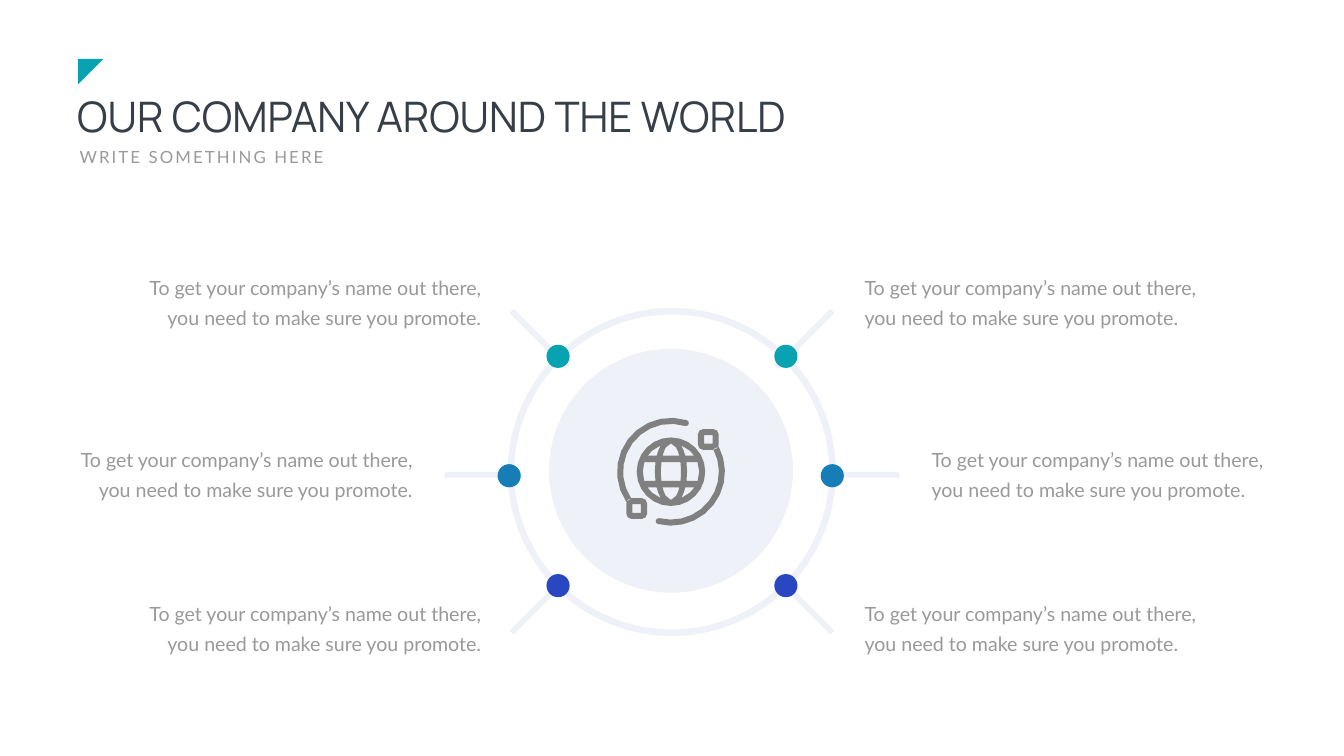
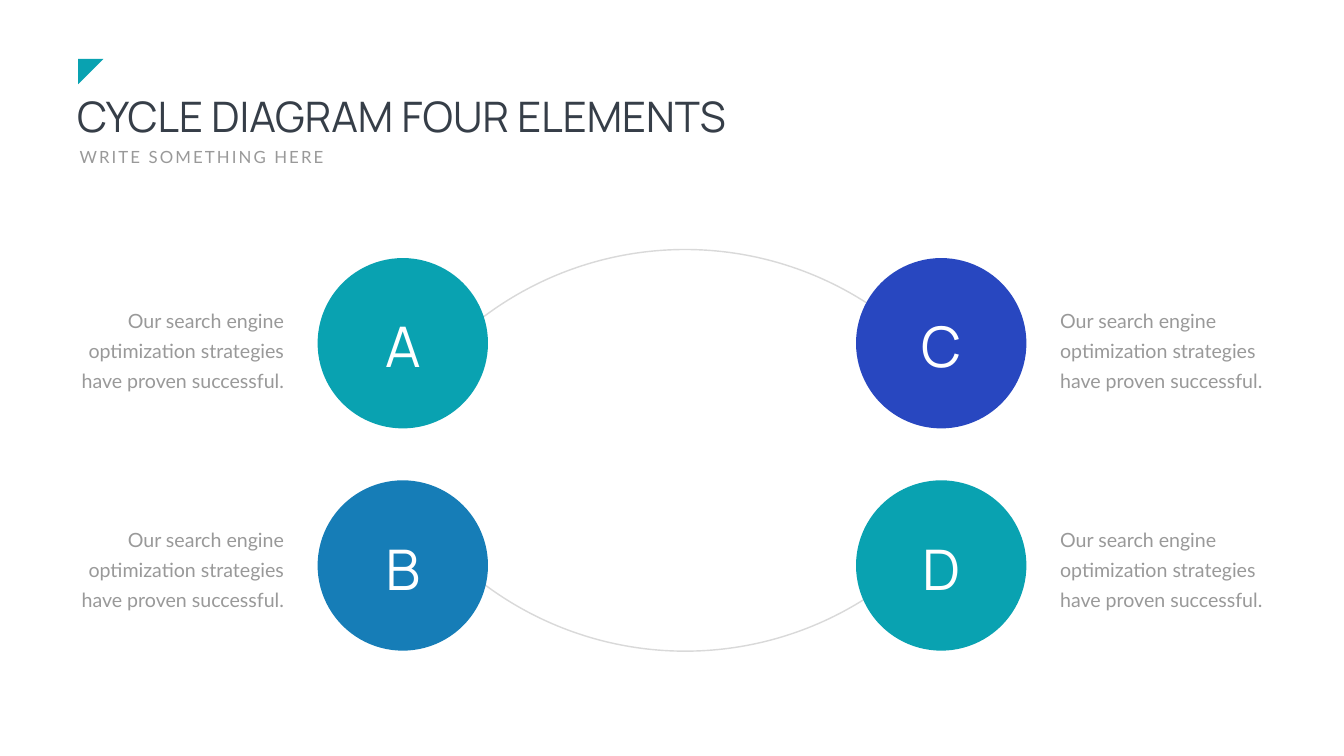
from dataclasses import dataclass
from itertools import product
from math import cos, radians, sin, sqrt

from pptx import Presentation
from pptx.dml.color import RGBColor
from pptx.enum.shapes import MSO_SHAPE
from pptx.enum.text import MSO_ANCHOR, MSO_AUTO_SIZE, PP_ALIGN
from pptx.shapes.autoshape import Shape
from pptx.slide import Slide
from pptx.text.text import TextFrame
from pptx.util import Inches, Pt

LEFT, CENTER, RIGHT = PP_ALIGN.LEFT, PP_ALIGN.CENTER, PP_ALIGN.RIGHT
TOP, MIDDLE = MSO_ANCHOR.TOP, MSO_ANCHOR.MIDDLE
GROW, FIXED = MSO_AUTO_SIZE.SHAPE_TO_FIT_TEXT, MSO_AUTO_SIZE.NONE
OVAL, DONUT, ARC = MSO_SHAPE.OVAL, MSO_SHAPE.DONUT, MSO_SHAPE.ARC
TRIANGLE = MSO_SHAPE.RIGHT_TRIANGLE

SLIDE_WIDTH, SLIDE_HEIGHT = 26.66, 15
TITLE_ONLY = 5
COLORS = {
    "teal": "09A2B1",
    "blue": "167DB7",
    "indigo": "2847C0",
    "pale": "EFF1F8",
    "icon": "808080",
    "arc": "D9D9D9",
    "title": "363E48",
    "body": "999999",
    "white": "FFFFFF",
}

Point = tuple[float, float]
Contour = list[Point]


@dataclass(frozen=True)
class Style:
    font: str
    size: float
    color: str
    spacing: float = 0
    leading: float = 0


@dataclass(frozen=True)
class Dot:
    left: float
    top: float
    color: str


@dataclass(frozen=True)
class Note:
    left: float
    top: float
    align: PP_ALIGN


@dataclass(frozen=True)
class Orbit:
    start: float
    end: float
    node: Point


@dataclass(frozen=True)
class Stage:
    letter: str
    left: float
    top: float
    color: str
    note: Note


TITLE = Style("Manrope", 60, "title")
SUBTITLE = Style("Lato", 24, "body", spacing=3)
BODY = Style("Lato", 28, "body", leading=43)
LETTER = Style("Manrope", 80, "white", spacing=6)

PROMOTE = "To get your company’s name out there, you need to make sure you promote."
SEARCH = "Our search engine optimization strategies have proven successful."

DOTS = [
    Dot(10.84, 6.84, "teal"),
    Dot(15.36, 6.84, "teal"),
    Dot(16.28, 9.21, "blue"),
    Dot(9.87, 9.21, "blue"),
    Dot(10.84, 11.39, "indigo"),
    Dot(15.36, 11.39, "indigo"),
]
WORLD_NOTES = [
    Note(17.05, 5.3, LEFT),
    Note(2.62, 5.3, RIGHT),
    Note(2.62, 11.77, RIGHT),
    Note(1.26, 8.71, RIGHT),
    Note(18.38, 8.71, LEFT),
    Note(17.05, 11.77, LEFT),
]
STAGES = [
    Stage("A", 6.3, 5.12, "teal", Note(1.48, 5.94, RIGHT)),
    Stage("B", 6.3, 9.53, "blue", Note(1.48, 10.29, RIGHT)),
    Stage("C", 16.98, 5.12, "indigo", Note(20.93, 5.94, LEFT)),
    Stage("D", 16.98, 9.53, "teal", Note(20.93, 10.29, LEFT)),
]

SPOKE_AXIS = 9.36
DIAGONAL_SPOKE = [(16.47, 6.13), (16.55, 6.21), (15.44, 7.32), (15.36, 7.24)]
LEVEL_SPOKE = [(16.3, 9.37), (17.84, 9.37), (17.84, 9.48), (16.3, 9.48)]

ICON_X, ICON_Y = 13.31, 9.36
GLOBE_RADIUS = 0.68
RIM = (0.56, 0.56)
MERIDIAN_OUTER = (0.32, 0.68)
MERIDIAN_INNER = (0.2, 0.56)
ROWS = [(-0.56, -0.32), (-0.19, 0.18), (0.31, 0.56)]
RIM_MEETS_MERIDIAN = 0.52
ORBIT_OUTER, ORBIT_INNER = 1.07, 0.95
NODE_SIZE, NODE_HOLE, NODE_CORNER = 0.41, 0.17, 0.1
ORBITS = [
    Orbit(-28, 104, (14.05, 8.72)),
    Orbit(146, 287, (12.63, 10.09)),
]


def color(name: str) -> RGBColor:
    return RGBColor.from_string(COLORS[name])


def write(frame: TextFrame, text: str, style: Style, align: PP_ALIGN = LEFT) -> None:
    para = frame.paragraphs[0]
    para.alignment = align
    if style.leading:
        para.line_spacing = Pt(style.leading)
    span = para.add_run()
    span.text = text
    span.font.name = style.font
    span.font.size = Pt(style.size)
    span.font.color.rgb = color(style.color)
    if style.spacing:
        span._r.get_or_add_rPr().set("spc", str(round(style.spacing * 100)))


def center_vertically(frame: TextFrame) -> None:
    frame.auto_size = FIXED
    frame.vertical_anchor = MIDDLE
    frame.margin_top, frame.margin_bottom = 0, Inches(0.02)


def add_text(page: Slide, left: float, top: float, width: float, height: float,
             text: str, style: Style, align: PP_ALIGN = LEFT, wrap: bool = True) -> TextFrame:
    box = page.shapes.add_textbox(Inches(left), Inches(top), Inches(width), Inches(height))
    frame = box.text_frame
    frame.word_wrap = wrap
    frame.auto_size = GROW
    frame.vertical_anchor = TOP
    write(frame, text, style, align)
    return frame


def paint(shape: Shape, fill: str) -> None:
    shape.shadow.inherit = False
    shape.fill.solid()
    shape.fill.fore_color.rgb = color(fill)
    shape.line.fill.background()


def add_figure(page: Slide, kind: MSO_SHAPE, left: float, top: float,
               size: float, fill: str) -> Shape:
    figure = page.shapes.add_shape(kind, Inches(left), Inches(top), Inches(size), Inches(size))
    paint(figure, fill)
    return figure


def add_outline(page: Slide, contours: list[Contour], fill: str) -> None:
    scaled = [[(Inches(x), Inches(y)) for x, y in contour] for contour in contours]
    first, *others = scaled
    builder = page.shapes.build_freeform(*first[0])
    builder.add_line_segments(first[1:], close=True)
    for contour in others:
        builder.move_to(*contour[0])
        builder.add_line_segments(contour[1:], close=True)
    paint(builder.convert_to_shape(), fill)


def steps(start: float, end: float, count: int) -> list[float]:
    return [start + (end - start) * index / count for index in range(count + 1)]


def arc_points(x: float, y: float, radius: float, start: float, end: float,
               count: int) -> Contour:
    angles = [radians(angle) for angle in steps(start, end, count)]
    return [(x + radius * cos(angle), y + radius * sin(angle)) for angle in angles]


def globe_edge(side: int, curve: Point, rows: list[float]) -> Contour:
    width, height = curve
    return [(ICON_X + side * width * sqrt(max(0, 1 - (row / height) ** 2)), ICON_Y + row)
            for row in rows]


def globe_contours() -> list[Contour]:
    contours = [arc_points(ICON_X, ICON_Y, GLOBE_RADIUS, 0, 360, 24)[:-1]]
    for (top, bottom), column in product(ROWS, (-1, 0, 1)):
        if column:
            top, bottom = max(top, -RIM_MEETS_MERIDIAN), min(bottom, RIM_MEETS_MERIDIAN)
        rows = steps(top, bottom, 2 if column else 3)
        if column:
            near = globe_edge(column, MERIDIAN_OUTER, rows)
            far = globe_edge(column, RIM, rows)
        else:
            near = globe_edge(-1, MERIDIAN_INNER, rows)
            far = globe_edge(1, MERIDIAN_INNER, rows)
        contours.append(near + far[::-1])
    return contours


def square(x: float, y: float, size: float, corner: float = 0) -> Contour:
    reach = size / 2 - corner
    points = []
    for start, (across, down) in zip((0, 90, 180, 270), ((1, 1), (-1, 1), (-1, -1), (1, -1))):
        turn = arc_points(x + across * reach, y + down * reach, corner, start, start + 90, 2)
        points += turn if corner else turn[:1]
    return points


def orbit_contours(orbit: Orbit) -> list[Contour]:
    middle = (ORBIT_OUTER + ORBIT_INNER) / 2
    end = radians(orbit.end)
    tip_x, tip_y = ICON_X + middle * cos(end), ICON_Y + middle * sin(end)
    band = arc_points(ICON_X, ICON_Y, ORBIT_OUTER, orbit.start, orbit.end, 10)
    band += arc_points(tip_x, tip_y, (ORBIT_OUTER - ORBIT_INNER) / 2,
                       orbit.end, orbit.end + 180, 4)[1:-1]
    band += arc_points(ICON_X, ICON_Y, ORBIT_INNER, orbit.end, orbit.start, 10)
    return [band, square(*orbit.node, NODE_SIZE, NODE_CORNER), square(*orbit.node, NODE_HOLE)]


def add_page(deck: Presentation, heading: str, width: float) -> Slide:
    page = deck.slides.add_slide(deck.slide_layouts[TITLE_ONLY])
    page.background.fill.solid()
    page.background.fill.fore_color.rgb = color("white")
    title = page.shapes.title
    title.left, title.top = Inches(1.43), Inches(1.76)
    title.width, title.height = Inches(width), Inches(1.11)
    title.text_frame.word_wrap = True
    center_vertically(title.text_frame)
    write(title.text_frame, heading, TITLE)
    add_text(page, 1.48, 2.87, 5.14, 0.5, "WRITE SOMETHING HERE", SUBTITLE, wrap=False)
    add_figure(page, TRIANGLE, 1.55, 1.17, 0.5, "teal").rotation = 90
    return page


def build_world(deck: Presentation) -> None:
    page = add_page(deck, "OUR COMPANY AROUND THE WORLD", 17.29)
    ring = add_figure(page, DONUT, 10.07, 6.11, 6.51, "pale")
    ring.adjustments[0] = 0.02
    lower_spoke = [(x, 2 * SPOKE_AXIS - y) for x, y in DIAGONAL_SPOKE]
    spokes = [DIAGONAL_SPOKE, LEVEL_SPOKE, lower_spoke]
    add_outline(page, spokes, "pale")
    add_outline(page, [[(SLIDE_WIDTH - x, y) for x, y in spoke] for spoke in spokes], "pale")
    for dot in DOTS:
        add_figure(page, OVAL, dot.left, dot.top, 0.46, dot.color)
    for note in WORLD_NOTES:
        add_text(page, note.left, note.top, 7.02, 1.25, PROMOTE, BODY, note.align)
    add_figure(page, OVAL, 10.89, 6.92, 4.84, "pale")
    add_outline(page, globe_contours(), "icon")
    for orbit in ORBITS:
        add_outline(page, orbit_contours(orbit), "icon")


def build_cycle(deck: Presentation) -> None:
    page = add_page(deck, "CYCLE DIAGRAM FOUR ELEMENTS", 15.23)
    for top, rotation in ((-0.38, 135), (4.95, 315)):
        arc = add_figure(page, ARC, 6.94, top, 13.3, "white")
        arc.rotation = rotation
        arc.fill.background()
        arc.line.color.rgb = color("arc")
        arc.line.width = Pt(2)
    for stage in STAGES:
        add_figure(page, OVAL, stage.left, stage.top, 3.38, stage.color)
        label = add_text(page, stage.left + 0.29, stage.top + 1.02, 2.8, 1.45,
                         stage.letter, LETTER, CENTER)
        center_vertically(label)
    add_figure(page, OVAL, 10.67, 6.04, 5.8, "white")
    for stage in STAGES:
        note = stage.note
        add_text(page, note.left, note.top, 4.25, 1.85, SEARCH, BODY, note.align)


def main() -> None:
    deck = Presentation()
    deck.slide_width, deck.slide_height = Inches(SLIDE_WIDTH), Inches(SLIDE_HEIGHT)
    build_world(deck)
    build_cycle(deck)
    deck.save("out.pptx")


if __name__ == "__main__":
    main()
